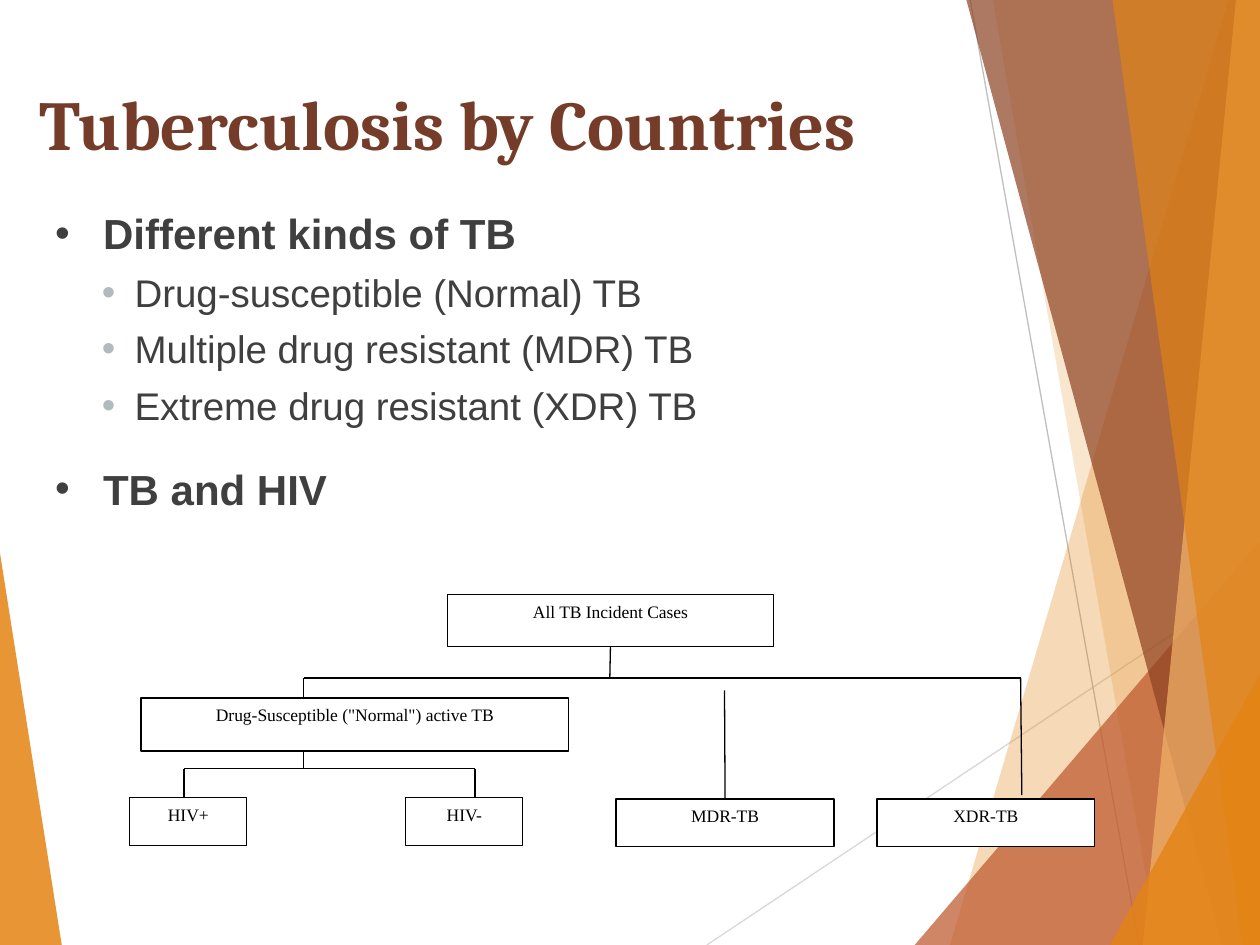
from lxml.etree import SubElement
from pptx import Presentation
from pptx.dml.color import RGBColor
from pptx.enum.shapes import MSO_CONNECTOR as CONNECTOR, MSO_SHAPE as SHAPE
from pptx.enum.text import MSO_ANCHOR as ANCHOR, PP_ALIGN as ALIGN
from pptx.oxml.ns import qn
from pptx.util import Inches, Pt

COLORS = {
    "orange": "E48312", "rust": "BD582C", "brown": "8D4120", "sand": "F4B469",
    "title": "753D29", "body": "3F3F3F", "bullet": "B0BBBF",
    "pale": "D8D8D8", "gray": "BFBFBF", "black": "000000", "white": "FFFFFF",
}
TOP, BOTTOM = 0, 2


def rgb(name):
    return RGBColor.from_string(COLORS[name])


def style_run(paragraph, font_name, size, color, bold=False):
    font = paragraph.runs[0].font
    font.name, font.size, font.bold = font_name, Pt(size), bold
    font.color.rgb = rgb(color)


def add_line(slide, box, start, end, color):
    left, top = box[:2]
    ends = [Inches(v) for v in (left + start[0], top + start[1], left + end[0], top + end[1])]
    line = slide.shapes.add_connector(CONNECTOR.STRAIGHT, *ends)
    line.line.color.rgb = rgb(color)
    line.line.width = Pt(0.75)
    SubElement(line._element.spPr, qn("a:effectLst"))
    return line


def add_facet(slide, box, points, color, opacity):
    corners = [(Inches(box[0] + x), Inches(box[1] + y)) for x, y in points]
    builder = slide.shapes.build_freeform(*corners[0])
    builder.add_line_segments(corners[1:], close=True)
    facet = builder.convert_to_shape()
    facet.shadow.inherit = False
    facet.fill.solid()
    facet.fill.fore_color.rgb = rgb(color)
    facet.line.fill.background()
    tint = facet._element.spPr.find(qn("a:solidFill"))[0]
    SubElement(tint, qn("a:alpha"), val=str(opacity * 1000))


def add_backdrop(slide, box):
    right, bottom = box[2:]
    add_facet(slide, box, [(0, 4.39), (0.49, bottom), (0, bottom)], "orange", 85)
    add_line(slide, box, (5.61, bottom), (right, 4.57), "pale")
    add_line(slide, box, (7.7, 0), (9.04, bottom), "gray")
    for upper, lower, color, opacity in [
        ((9.75, 0), 7.54, "orange", 30),
        ((7.88, 0), 9.19, "orange", 20),
        ((right, 4.29), 7.26, "rust", 72),
        ((7.67, 0), 9.7, "brown", 70),
        ((9.81, 0), 9.07, "sand", 70),
        ((8.83, 0), 9.86, "orange", 65),
        ((right, 5.35), 8.81, "orange", 80),
    ]:
        points = [upper, (lower, bottom), (right, bottom)]
        if upper[0] < right:
            points.append((right, 0))
        add_facet(slide, box, points, color, opacity)


def add_text_frame(slide, box):
    frame = slide.shapes.add_textbox(*map(Inches, box)).text_frame
    frame.word_wrap = True
    return frame


def add_title(slide, box):
    frame = add_text_frame(slide, box)
    frame.vertical_anchor = ANCHOR.MIDDLE
    heading = frame.paragraphs[0]
    heading.text = "Tuberculosis by Countries"
    heading.alignment = ALIGN.CENTER
    style_run(heading, "Cambria", 40, "title", True)


def add_outline(slide, box):
    frame = add_text_frame(slide, box)
    entries = [
        ("Different kinds of TB", 0, 0),
        ("Drug-susceptible (Normal) TB", 1, 6),
        ("Multiple drug resistant (MDR) TB", 1, 6),
        ("Extreme drug resistant (XDR) TB", 1, 6),
        ("TB and HIV", 0, 20),
    ]
    levels = [(0.38, 0.38, 24, "body"), (0.63, 0.26, 22, "bullet")]
    for number, (text, level, gap) in enumerate(entries):
        entry = frame.add_paragraph() if number else frame.paragraphs[0]
        margin, hanging, size, bullet_color = levels[level]
        entry.text = text
        entry.level = level
        entry.space_before = Pt(gap)
        style_run(entry, "Arial", size, "body", level == 0)
        props = entry._p.get_or_add_pPr()
        props.set("marL", str(Inches(margin)))
        props.set("indent", str(-Inches(hanging)))
        SubElement(SubElement(props, qn("a:buClr")), qn("a:srgbClr"), val=COLORS[bullet_color])
        SubElement(props, qn("a:buFont"), typeface="Arial")
        SubElement(props, qn("a:buChar"), char="•")


def add_case_box(slide, box, text, left, top, width, height):
    case = slide.shapes.add_shape(
        SHAPE.RECTANGLE, *map(Inches, (box[0] + left, box[1] + top, width, height)))
    case.shadow.inherit = False
    case.fill.solid()
    case.fill.fore_color.rgb = rgb("white")
    case.line.color.rgb = rgb("black")
    case.line.width = Pt(0.75)
    case.text_frame.vertical_anchor = ANCHOR.TOP
    label = case.text_frame.paragraphs[0]
    label.text = text
    label.alignment = ALIGN.CENTER
    style_run(label, "Times New Roman", 10, "black")
    return case


def add_case_tree(slide, box):
    leaf_top, leaf_height = 1.61, 0.38
    all_cases = add_case_box(slide, box, "All TB Incident Cases", 2.52, 0, 2.59, 0.41)
    add_case_box(slide, box, 'Drug-Susceptible ("Normal") active TB', 0.09, 0.82, 3.39, 0.42)
    mdr = add_case_box(slide, box, "MDR-TB", 3.86, 1.62, 1.73, leaf_height)
    add_case_box(slide, box, "XDR-TB", 5.93, 1.62, 1.73, leaf_height)
    for text, left in [("HIV+", 0), ("HIV-", 2.19)]:
        add_case_box(slide, box, text, left, leaf_top, 0.93, leaf_height)

    main_bar, hiv_bar = 0.66, 1.38
    normal_x, xdr_x, positive_x, negative_x = 1.38, 7.07, 0.43, 2.74
    for start, end in [
        ((normal_x, main_bar), (xdr_x, main_bar)),
        ((normal_x, main_bar), (normal_x, 0.82)),
        ((xdr_x, main_bar), (xdr_x + 0.01, 1.59)),
        ((normal_x, 1.24), (normal_x, hiv_bar)),
        ((positive_x, hiv_bar), (negative_x, hiv_bar)),
        ((positive_x, hiv_bar), (positive_x, leaf_top)),
        ((negative_x, hiv_bar), (negative_x, leaf_top)),
    ]:
        add_line(slide, box, start, end, "black")
    trunk = add_line(slide, box, (3.81, 0.41), (3.81, main_bar), "black")
    trunk.begin_connect(all_cases, BOTTOM)
    mdr_branch = add_line(slide, box, (4.72, 0.76), (4.72, 1.62), "black")
    mdr_branch.end_connect(mdr, TOP)


def main():
    deck = Presentation()
    deck.slide_width, deck.slide_height = Inches(10), Inches(7.5)
    slide = deck.slides.add_slide(deck.slide_layouts[6])
    add_backdrop(slide, (0, 0, 10, 7.5))
    add_title(slide, (0.08, 0.25, 6.94, 1.44))
    add_outline(slide, (0.34, 1.6, 8.03, 2.67))
    add_case_tree(slide, (1.03, 4.72, 7.66, 2))
    deck.save("out.pptx")


if __name__ == "__main__":
    main()
